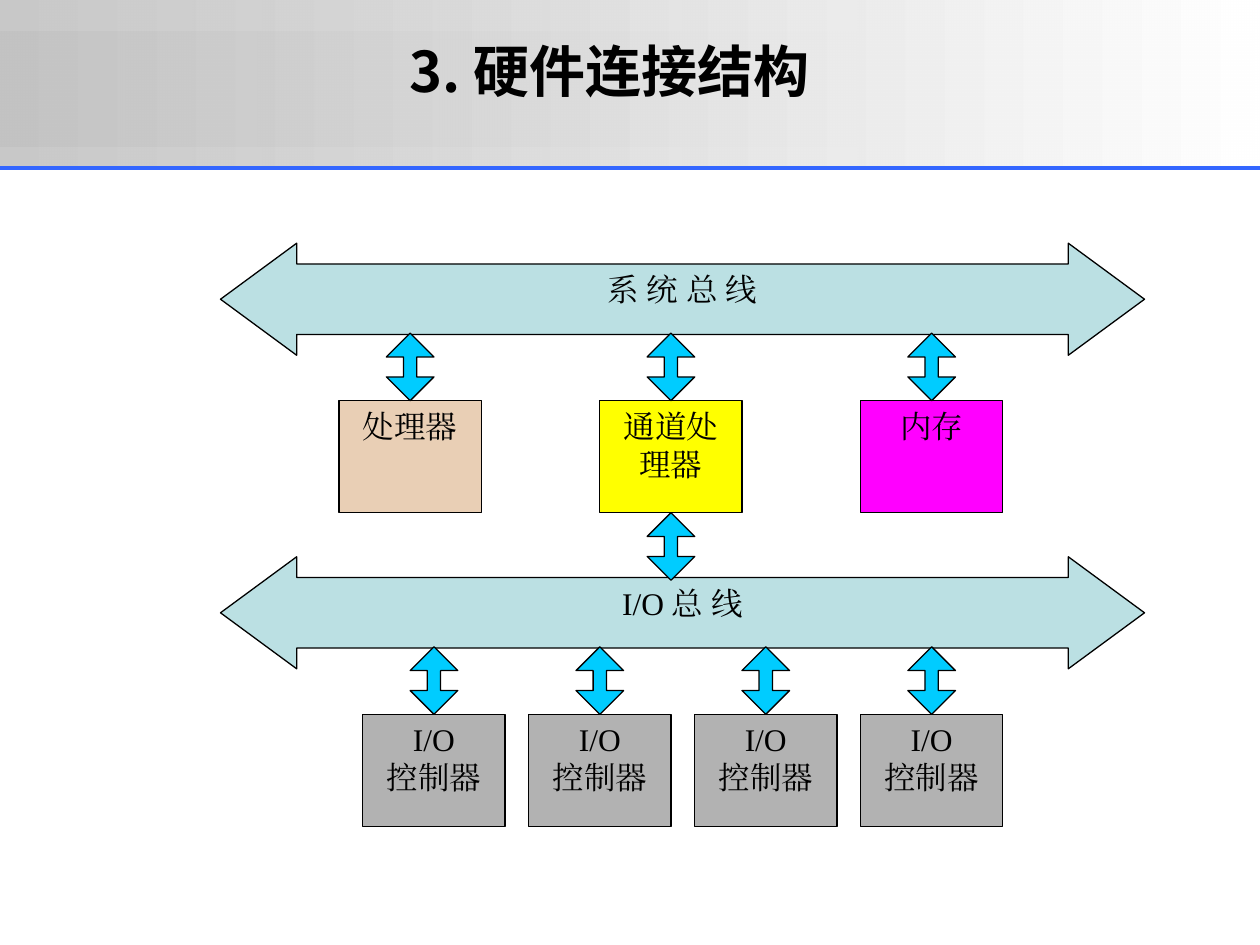
import pptx
import pptx.dml.color
import pptx.enum.shapes
import pptx.enum.text
import pptx.oxml
import pptx.oxml.ns
import pptx.util
from lxml import etree

Pt = pptx.util.Pt
MSO = pptx.enum.shapes.MSO_SHAPE
ANCHOR = pptx.enum.text.MSO_ANCHOR
qn = pptx.oxml.ns.qn

TITLE = "3. 硬件连接结构"
SYSTEM_BUS = "系 统 总 线"
IO_BUS = "I/O 总 线"
UNITS = [("处理器", "E9CFB5"), ("通道处理器", "FFFF00"), ("内存", "FF00FF")]
CHANNEL = 1
CONTROLLERS = [("I/O\n控制器", "B2B2B2")] * 4

THEME = {
    "ink": "000000", "bus": "BBE0E3", "link": "00CCFF", "rule": "3366FF",
    "band": "C0C0C0", "paper": "FFFFFF",
    "title_font": "Noto Sans CJK SC", "body_font": "Times New Roman",
    "title_size": 32, "body_size": 18, "outline": 0.75, "rule_width": 2.25,
}

SLIDE_W, SLIDE_H = 720, 540
HEADER_H = 96
BUS_LEFT, BUS_W, BUS_H = 126, 528, 64
SYSTEM_TOP, IO_TOP = 139, 318.2
BOX_W, BOX_H = 81.4, 64
BOX_DROP = 90            # from the top of a bus to the boxes below it
LAST_BOX_LEFT = 491.7    # both rows end at the same box edge
UNIT_PITCH, CONTROLLER_PITCH = 149, 94.8
LINK_W, LINK_H = 27.2, 38.6


def rgb(name):
    return pptx.dml.color.RGBColor.from_string(THEME.get(name, name))


def add_block(slide, kind, left, top, width, height):
    block = slide.shapes.add_shape(kind, Pt(left), Pt(top), Pt(width), Pt(height))
    block.shadow.inherit = False
    return block


def add_fade(slide, top, height, opacity):
    """Band fading left to right into the paper colour; opacity in percent."""
    band = add_block(slide, MSO.RECTANGLE, 0, top, SLIDE_W, height)
    band.line.fill.background()
    band.fill.gradient()
    band.fill.gradient_angle = 0
    for stop, color in zip(band.fill.gradient_stops, ("band", "paper")):
        stop.color.rgb = rgb(color)
    start = next(band._element.spPr.iter(qn("a:srgbClr")))
    etree.SubElement(start, qn("a:alpha"), val=str(opacity * 1000))


def write(frame, text, font, size, bold=False):
    frame.word_wrap = True
    for index, line in enumerate(text.split("\n")):
        paragraph = frame.add_paragraph() if index else frame.paragraphs[0]
        paragraph.alignment = pptx.enum.text.PP_ALIGN.CENTER
        run = paragraph.add_run()
        run.text = line
        run.font.size = Pt(size)
        run.font.bold = bold
        run.font.color.rgb = rgb("ink")
        run.font.name = font
        etree.SubElement(run.font._element, qn("a:ea"), typeface=font)


def add_part(slide, kind, area, color, text="", adjustments=()):
    part = add_block(slide, kind, *area)
    part.fill.solid()
    part.fill.fore_color.rgb = rgb(color)
    part.line.color.rgb = rgb("ink")
    part.line.width = Pt(THEME["outline"])
    for index, value in enumerate(adjustments):
        part.adjustments[index] = value
    if text:
        part.text_frame.vertical_anchor = ANCHOR.TOP
        write(part.text_frame, text, THEME["body_font"], THEME["body_size"])


def add_bus(slide, top, text):
    add_part(slide, MSO.LEFT_RIGHT_ARROW, (BUS_LEFT, top, BUS_W, BUS_H),
             "bus", text, (0.63, 0.68))


def add_link(slide, box_left, top):
    left = box_left + (BOX_W - LINK_W) / 2
    add_part(slide, MSO.UP_DOWN_ARROW, (left, top, LINK_W, LINK_H),
             "link", adjustments=(0.5, 0.28))


def add_row(slide, bus_top, boxes, pitch):
    """Boxes under a bus, each linked up to it; returns their left edges."""
    top = bus_top + BOX_DROP
    lefts = [LAST_BOX_LEFT - pitch * (len(boxes) - 1 - i) for i in range(len(boxes))]
    for left, (text, color) in zip(lefts, boxes):
        add_part(slide, MSO.RECTANGLE, (left, top, BOX_W, BOX_H), color, text)
        add_link(slide, left, top - LINK_H)
    return lefts


def add_header(slide):
    add_fade(slide, 0, HEADER_H, 86)
    add_fade(slide, 18, 66, 59)
    rule = slide.shapes.add_connector(
        pptx.enum.shapes.MSO_CONNECTOR.STRAIGHT,
        Pt(0), Pt(HEADER_H), Pt(SLIDE_W), Pt(HEADER_H))
    rule.line.color.rgb = rgb("rule")
    rule.line.width = Pt(THEME["rule_width"])
    etree.SubElement(rule._element.spPr, qn("a:effectLst"))
    title = slide.shapes.add_textbox(Pt(54.5), Pt(10), Pt(588), Pt(60)).text_frame
    title.vertical_anchor = ANCHOR.MIDDLE
    write(title, TITLE, THEME["title_font"], THEME["title_size"], bold=True)


def main():
    deck = pptx.Presentation()
    deck.slide_width, deck.slide_height = Pt(SLIDE_W), Pt(SLIDE_H)
    slide = deck.slides.add_slide(deck.slide_layouts[6])
    add_header(slide)
    add_bus(slide, SYSTEM_TOP, SYSTEM_BUS)
    add_bus(slide, IO_TOP, IO_BUS)
    unit_lefts = add_row(slide, SYSTEM_TOP, UNITS, UNIT_PITCH)
    add_link(slide, unit_lefts[CHANNEL], SYSTEM_TOP + BOX_DROP + BOX_H)
    add_row(slide, IO_TOP, CONTROLLERS, CONTROLLER_PITCH)
    deck.save("out.pptx")


if __name__ == "__main__":
    main()
